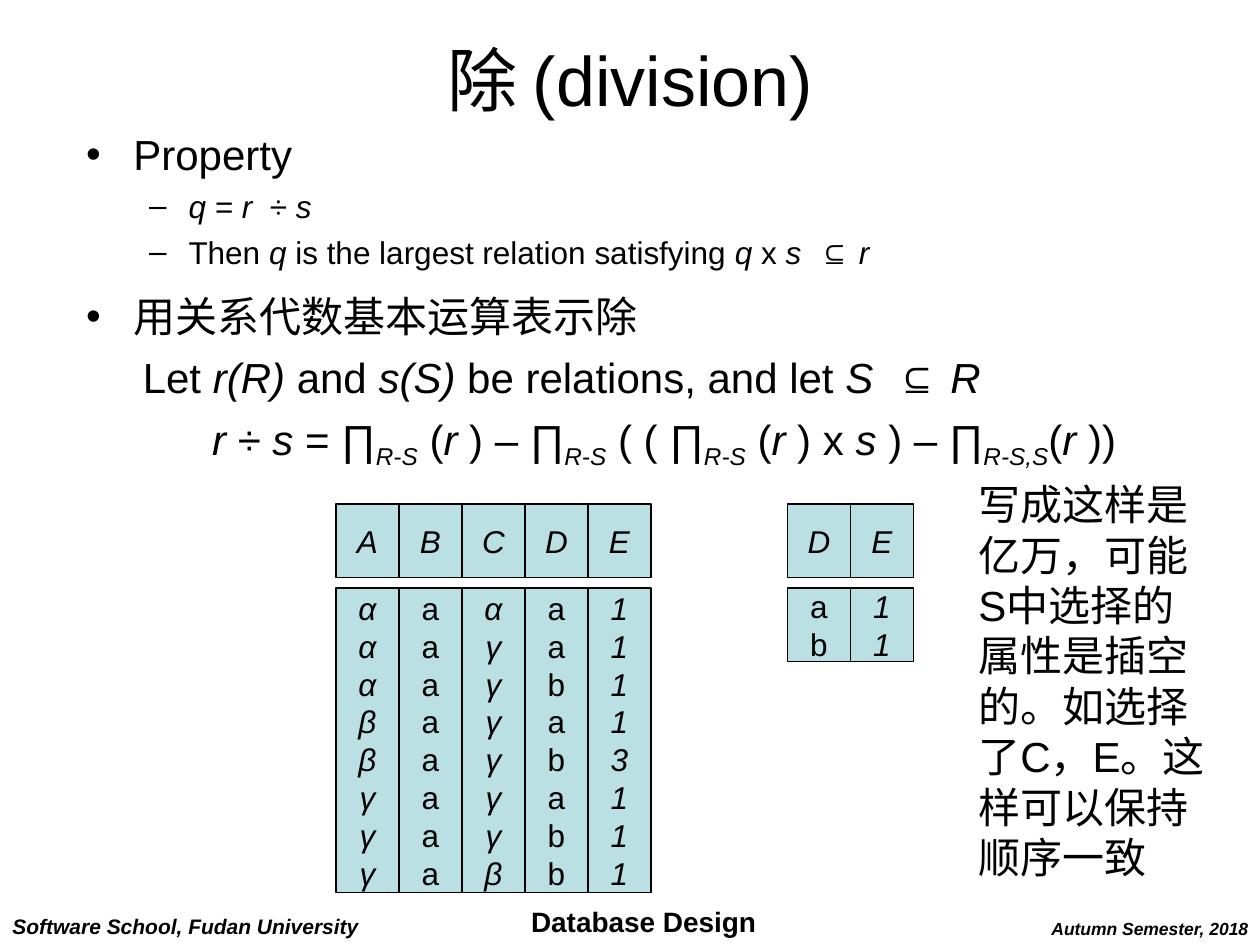
import dataclasses

import lxml.etree
import pptx
import pptx.dml.color
import pptx.enum.shapes
import pptx.enum.text
import pptx.oxml.ns
import pptx.util

ALIGN = pptx.enum.text.PP_ALIGN
ANCHOR = pptx.enum.text.MSO_ANCHOR
FIT = pptx.enum.text.MSO_AUTO_SIZE


@dataclasses.dataclass(frozen=True)
class Theme:
    """Colours, font and type sizes of the deck."""
    font: str = "Arial"
    ink: str = "000000"
    cell: str = "BBE0E3"
    title: int = 40
    text: int = 24
    small: int = 18
    course: int = 16
    school: int = 12
    term: int = 10
    line: float = 0.75


THEME = Theme()
WIDTH, HEIGHT = pptx.util.Inches(10), pptx.util.Inches(7.5)
COLUMNS, ROWS = 120, 90

PROPERTY_LINES = [
    (0, THEME.text, 0, None, [("Property", "")]),
    (1, THEME.small, 4.5, None, [("q = r  ", "i"), ("÷", ""), (" s", "i")]),
    (1, THEME.small, 4.5, None, [
        ("Then ", ""), ("q", "i"), (" is the largest relation satisfying ", ""),
        ("q", "i"), (" x ", ""), ("s  ", "i"), ("⊆ ", ""), ("r", "i")]),
    (0, THEME.text, 6, 1.2, [
        ("用关系代数基本运算表示除\n Let ", ""), ("r(R)", "i"), (" and ", ""),
        ("s(S)", "i"), (" be relations, and let ", ""), ("S  ", "i"),
        ("⊆ ", ""), ("R \n\tr ", "i"), ("÷ ", ""), ("s", "i"), (" = ∏", ""),
        ("R-S", "is"), (" (", ""), ("r ", "i"), (") – ∏", ""), ("R-S", "is"),
        (" ( ( ∏", ""), ("R-S", "is"), (" (", ""), ("r ", "i"), (") x ", ""),
        ("s ", "i"), (") – ∏", ""), ("R-S,S", "is"), ("(", ""), ("r ", "i"),
        ("))", "")]),
]
BULLETS = {0: ("•", 27, -27), 1: ("–", 58.5, -22.5)}
RELATION_R = {"A": "αααββγγγ", "B": "aaaaaaaa", "C": "αγγγγγγβ",
              "D": "aabababb", "E": "11113111"}
RELATION_S = {"D": "ab", "E": "11"}
NOTE = "写成这样是亿万，可能S中选择的属性是插空的。如选择了C，E。这样可以保持顺序一致"


def grid(left, top, width, height):
    """Turn grid columns and rows into slide lengths."""
    across, down = WIDTH / COLUMNS, HEIGHT / ROWS
    return [int(length) for length in
            (left * across, top * down, width * across, height * down)]


def place(shape, box):
    """Move a shape to a grid box."""
    shape.left, shape.top, shape.width, shape.height = grid(*box)


def add_span(para, text, size, style=""):
    """Add text in a style of b (bold), i (italic) and s (subscript)."""
    for index, piece in enumerate(text.split("\n")):
        if index:
            para.add_line_break()
        span = para.add_run()
        span.text = piece
        font = span.font
        font.name, font.size = THEME.font, pptx.util.Pt(size)
        font.bold, font.italic = "b" in style, "i" in style
        font.color.rgb = pptx.dml.color.RGBColor.from_string(THEME.ink)
        if "s" in style:
            font._element.set("baseline", "-25000")


def add_bullet(para, level):
    """Give a paragraph its bullet, hanging indent and tab stop."""
    mark, margin, indent = BULLETS[level]
    para.level = level
    props = para._p.get_or_add_pPr()
    props.set("marL", str(pptx.util.Pt(margin)))
    props.set("indent", str(pptx.util.Pt(indent)))
    qn = pptx.oxml.ns.qn
    color = lxml.etree.SubElement(props, qn("a:buClr"))
    lxml.etree.SubElement(color, qn("a:srgbClr"), val=THEME.ink)
    lxml.etree.SubElement(props, qn("a:buFont"), typeface=THEME.font)
    lxml.etree.SubElement(props, qn("a:buChar"), char=mark)
    tabs = lxml.etree.SubElement(props, qn("a:tabLst"))
    lxml.etree.SubElement(tabs, qn("a:tab"), pos=str(pptx.util.Inches(1)), algn="l")


def add_title(page, box):
    """Fill the title placeholder."""
    place(page.shapes.title, box)
    frame = page.shapes.title.text_frame
    frame.auto_size, frame.vertical_anchor = FIT.NONE, ANCHOR.MIDDLE
    para = frame.paragraphs[0]
    para.alignment = ALIGN.CENTER
    add_span(para, "除 (division)", THEME.title)


def add_body(page, box):
    """Fill the body placeholder with the bulleted lines."""
    body = page.placeholders[1]
    place(body, box)
    frame = body.text_frame
    frame.auto_size, frame.vertical_anchor = FIT.NONE, ANCHOR.TOP
    for index, (level, size, before, spacing, spans) in enumerate(PROPERTY_LINES):
        para = frame.add_paragraph() if index else frame.paragraphs[0]
        add_bullet(para, level)
        para.space_before = pptx.util.Pt(before)
        if spacing:
            para.line_spacing = spacing
        for text, style in spans:
            add_span(para, text, size, style)


def add_text(page, box, text, size, style="", align=ALIGN.LEFT, wrap=False):
    """Add a text box of one paragraph."""
    frame = page.shapes.add_textbox(*grid(*box)).text_frame
    frame.word_wrap, frame.auto_size = wrap, FIT.SHAPE_TO_FIT_TEXT
    para = frame.paragraphs[0]
    para.alignment = align
    add_span(para, text, size, style)


def add_cell(page, box, lines, style):
    """Add a filled rectangle with one centred paragraph per line."""
    cell = page.shapes.add_shape(pptx.enum.shapes.MSO_SHAPE.RECTANGLE, *grid(*box))
    cell.shadow.inherit = False
    cell.fill.solid()
    cell.fill.fore_color.rgb = pptx.dml.color.RGBColor.from_string(THEME.cell)
    cell.line.color.rgb = pptx.dml.color.RGBColor.from_string(THEME.ink)
    cell.line.width = pptx.util.Pt(THEME.line)
    frame = cell.text_frame
    frame.word_wrap, frame.vertical_anchor = False, ANCHOR.MIDDLE
    for index, line in enumerate(lines):
        para = frame.add_paragraph() if index else frame.paragraphs[0]
        para.alignment = ALIGN.CENTER
        add_span(para, line, THEME.small, style)


def add_relation(page, box, relation):
    """Draw a relation as header cells above value cells."""
    left, top, width, height = box
    step, header, gap = width / len(relation), 7, 1
    for index, (attribute, values) in enumerate(relation.items()):
        x = left + index * step
        add_cell(page, (x, top, step, header), attribute, "i")
        style = "" if values[0] in "ab" else "i"
        add_cell(page, (x, top + header + gap, step, height - header - gap),
                 values, style)


def add_footer(page, box):
    """Set the school, course and term along the bottom."""
    left, top, width, height = box
    add_text(page, (left, top + 0.8, 35.4, height - 0.8),
             "Software School, Fudan University", THEME.school, "bi")
    add_text(page, (left + 49.4, top, 23.8, height), "Database Design",
             THEME.course, "b", ALIGN.CENTER)
    add_text(page, (left + width - 21.1, top + 1.2, 21.2, height - 1.2),
             "Autumn Semester, 2018", THEME.term, "bi", ALIGN.CENTER)


def main():
    """Build and save the deck."""
    deck = pptx.Presentation()
    deck.slide_width, deck.slide_height = WIDTH, HEIGHT
    page = deck.slides.add_slide(deck.slide_layouts[1])
    add_footer(page, (0, 85.6, COLUMNS, 4.4))
    add_title(page, (6, 0, 108, 15))
    add_body(page, (7, 11.64, 108, 37))
    add_relation(page, (32, 48, 30, 37), RELATION_R)
    add_relation(page, (75, 48, 12, 15), RELATION_S)
    add_text(page, (92, 45, 25, 39.6), NOTE, THEME.text, wrap=True)
    deck.save("out.pptx")


if __name__ == "__main__":
    main()
